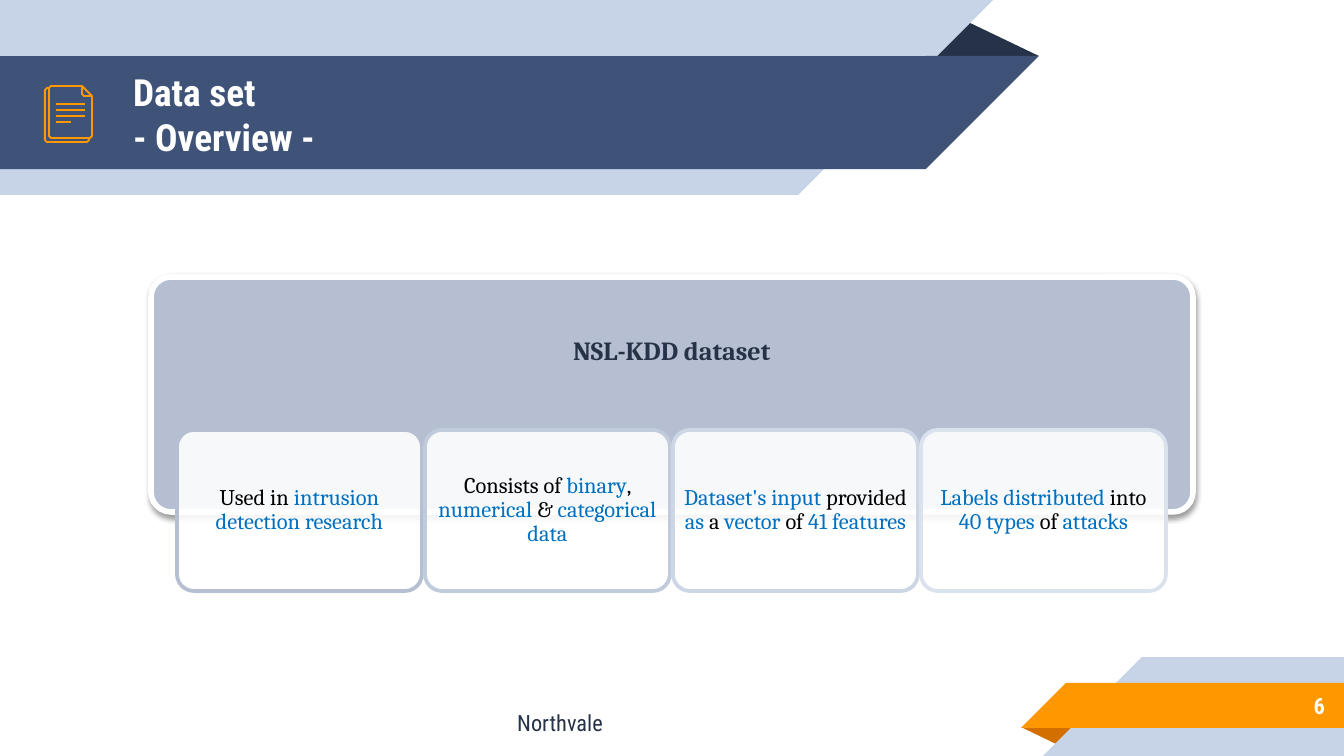
from dataclasses import dataclass

from lxml import etree
from pptx import Presentation
from pptx.dml.color import RGBColor
from pptx.enum.shapes import MSO_CONNECTOR, MSO_SHAPE
from pptx.enum.text import MSO_ANCHOR, PP_ALIGN
from pptx.oxml.ns import qn
from pptx.util import Emu, Pt

EMU_PER_PX = 914400 / 134.4
RECTANGLE = MSO_SHAPE.RECTANGLE
ROUNDED = MSO_SHAPE.ROUNDED_RECTANGLE
TRIANGLE = MSO_SHAPE.ISOSCELES_TRIANGLE
RIGHT_TRIANGLE = MSO_SHAPE.RIGHT_TRIANGLE
STRAIGHT = MSO_CONNECTOR.STRAIGHT
MIDDLE = MSO_ANCHOR.MIDDLE
LEFT, CENTER, RIGHT = PP_ALIGN.LEFT, PP_ALIGN.CENTER, PP_ALIGN.RIGHT


@dataclass(frozen=True)
class Theme:
    white: str = "FFFFFF"
    black: str = "000000"
    navy: str = "3F5378"
    dark: str = "263248"
    pale: str = "C7D3E6"
    orange: str = "FF9800"
    rust: str = "D26F00"
    panel: str = "B5BFD1"
    accent: str = "0070C0"
    card_lines: tuple = ("B5BFD1", "C0CBDC", "CDD6E5", "DAE2EE")
    heading_font: str = "Roboto Condensed"
    body_font: str = "Cambria"
    title_size: int = 20
    panel_size: int = 14
    body_size: int = 12


def px(length):
    return Emu(round(length * EMU_PER_PX))


class SlideBuilder:
    def __init__(self, slide, theme):
        self.slide = slide
        self.theme = theme

    def shape(self, kind, box, fill, line=None, width=1, adjustment=None):
        shape = self.slide.shapes.add_shape(kind, *map(px, box))
        shape.shadow.inherit = False
        shape.fill.solid()
        shape.fill.fore_color.rgb = RGBColor.from_string(fill)
        if line:
            shape.line.color.rgb = RGBColor.from_string(line)
            shape.line.width = Pt(width)
        else:
            shape.line.fill.background()
        if adjustment is not None:
            shape.adjustments[0] = adjustment
        return shape

    def ribbon(self, left, top, width, height, fill, from_left):
        """Draw a bar whose free end is cut at 45 degrees."""
        end = left + width if from_left else left - height
        for kind, x, w in ((RECTANGLE, left, width), (RIGHT_TRIANGLE, end, height)):
            shape = self.shape(kind, (x, top, w, height), fill)
            shape._element.spPr.xfrm.set("flipH", "1")
            if from_left:
                shape.rotation = 180

    def set_text(self, shape, lines, size, font, align, margin, bold=False, spacing=None):
        """Fill a shape with lines, each a list of (text, colour) runs."""
        frame = shape.text_frame
        frame.word_wrap = True
        frame.vertical_anchor = MIDDLE
        frame.margin_left = frame.margin_right = px(margin)
        frame.margin_top = frame.margin_bottom = px(margin)
        paragraph = frame.paragraphs[0]
        paragraph.alignment = align
        if spacing:
            paragraph.line_spacing = spacing
        for index, runs in enumerate(lines):
            if index:
                paragraph.add_line_break()
            for text, color in runs:
                run = paragraph.add_run()
                run.text = text
                run.font.name = font
                run.font.size = Pt(size)
                run.font.bold = bold
                run.font.color.rgb = RGBColor.from_string(color)

    def text(self, box, lines, color, size, font, align=CENTER, margin=13, bold=True):
        textbox = self.slide.shapes.add_textbox(*map(px, box))
        self.set_text(textbox, [[(line, color)] for line in lines],
                      size, font, align, margin, bold)

    def outline(self, points, close=False):
        builder = self.slide.shapes.build_freeform(*points[0], scale=EMU_PER_PX)
        builder.add_line_segments(points[1:], close=close)
        shape = builder.convert_to_shape()
        shape.shadow.inherit = False
        shape.fill.background()
        shape.line.color.rgb = RGBColor.from_string(self.theme.orange)
        shape.line.width = Pt(1)

    def rule(self, left, right, y):
        connector = self.slide.shapes.add_connector(
            STRAIGHT, px(left), px(y), px(right), px(y))
        connector.line.color.rgb = RGBColor.from_string(self.theme.orange)
        connector.line.width = Pt(1)
        etree.SubElement(connector._element.spPr, qn("a:effectLst"))

    def document_icon(self):
        self.outline([(89, 138), (89, 140), (87, 142), (47, 142), (45, 140),
                      (45, 90), (47, 88), (49, 88)])
        self.outline([(92, 96), (92, 136), (90, 138), (51, 138), (49, 136),
                      (49, 88), (51, 86), (82, 86)])
        for index, right in enumerate((85, 85, 85, 71)):
            self.rule(56, right, 104 + 6 * index)
        self.outline([(82, 94), (82, 86), (92, 96), (84, 96)], close=True)

    def panel(self, box):
        theme = self.theme
        shape = self.shape(ROUNDED, box, theme.panel, theme.white, 3, 0.085)
        effects = shape._element.spPr.find(qn("a:effectLst"))
        shadow = etree.SubElement(
            effects, qn("a:outerShdw"), blurRad=str(Pt(3.1)), dist=str(Pt(1.6)),
            dir="5400000", rotWithShape="0")
        color = etree.SubElement(shadow, qn("a:srgbClr"), val=theme.black)
        etree.SubElement(color, qn("a:alpha"), val="38000")

    def card(self, box, line, runs):
        theme = self.theme
        shape = self.shape(ROUNDED, box, theme.white, line, 2, 0.105)
        color = shape._element.spPr.find(qn("a:solidFill"))[0]
        etree.SubElement(color, qn("a:alpha"), val="90000")
        colored = [(text, theme.accent if strong else theme.black)
                   for text, strong in runs]
        self.set_text(shape, [colored], theme.body_size, theme.body_font,
                      CENTER, 6, spacing=0.9)


CARDS = (
    (("Used in ", False), ("intrusion detection research", True)),
    (("Consists of ", False), ("binary", True), (", ", False), ("numerical", True),
     (" & ", False), ("categorical data", True)),
    (("Dataset's input ", True), ("provided ", False), ("as", True), (" a ", False),
     ("vector", True), (" of ", False), ("41 features", True)),
    (("Labels distributed", True), (" into ", False), ("40 types ", True),
     ("of ", False), ("attacks", True)),
)


def main():
    presentation = Presentation()
    presentation.slide_width, presentation.slide_height = px(1344), px(756)
    slide = presentation.slides.add_slide(presentation.slide_layouts[6])
    theme = Theme()
    builder = SlideBuilder(slide, theme)

    builder.shape(TRIANGLE, (925, 19, 114, 37), theme.dark, adjustment=0.324)
    builder.ribbon(0, 0, 798, 195, theme.pale, from_left=True)
    builder.ribbon(0, 56, 926, 113, theme.navy, from_left=True)

    fold = builder.shape(TRIANGLE, (1021, 727, 58, 19), theme.rust, adjustment=0.324)
    fold.rotation = 180
    builder.ribbon(1142, 657, 202, 99, theme.pale, from_left=False)
    builder.ribbon(1066, 683, 278, 45, theme.orange, from_left=False)

    builder.text((120, 58, 773, 113), ["Data set", "- Overview -"], theme.white,
                 theme.title_size, theme.heading_font, LEFT)
    builder.text((1120, 682, 218, 47), ["6"], theme.white,
                 theme.body_size, theme.heading_font, RIGHT)
    builder.document_icon()
    builder.text((437, 703, 246, 40), ["Northvale"], theme.dark,
                 theme.body_size, theme.heading_font, margin=7, bold=False)

    builder.panel((151, 277, 1042, 235))
    builder.text((157, 328, 1030, 44), ["NSL-KDD dataset"], theme.dark,
                 theme.panel_size, theme.body_font, margin=7)
    for index, (line, runs) in enumerate(zip(theme.card_lines, CARDS)):
        builder.card((177 + 248 * index, 430, 245, 161), line, runs)

    presentation.save("out.pptx")


if __name__ == "__main__":
    main()
